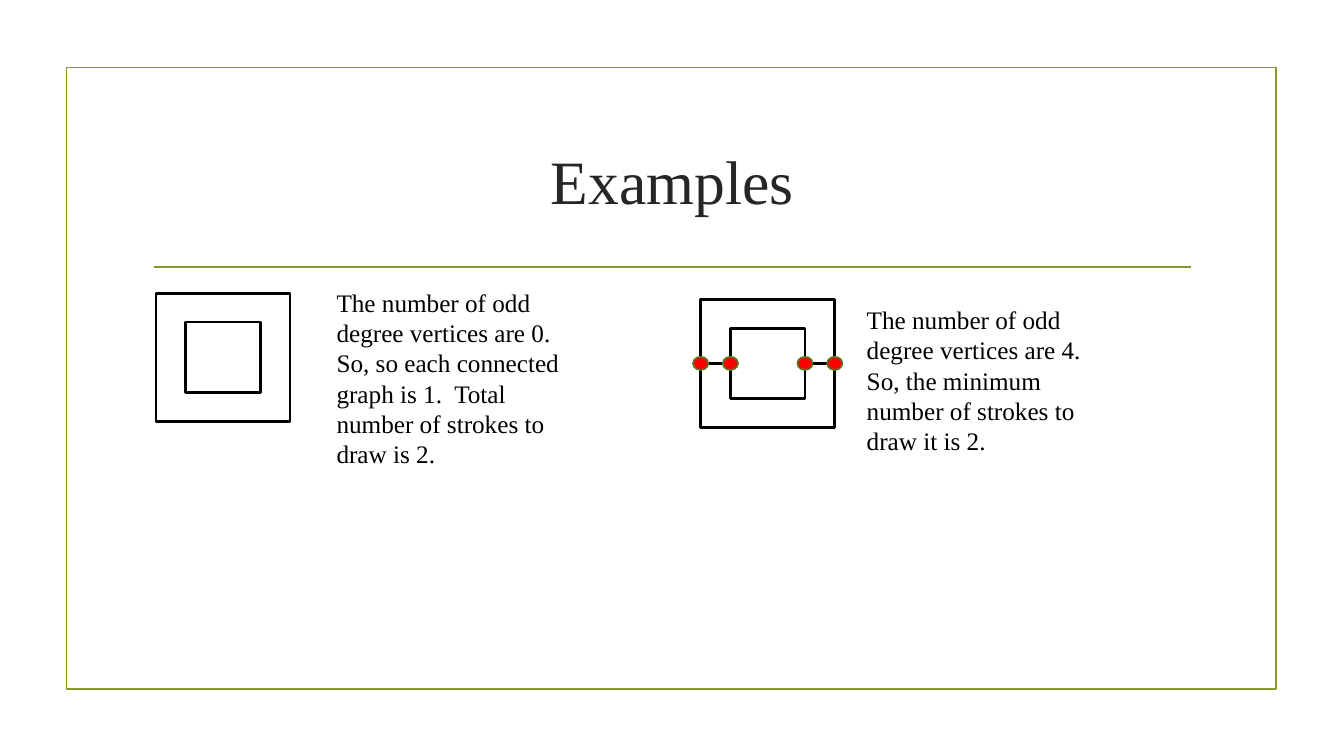
import pptx
import pptx.util
import pptx.dml.color
import pptx.enum.shapes
import pptx.enum.text
import pptx.oxml

GREEN, BLACK, RED = "83992A", "000000", "FF0000"
SHAPE = pptx.enum.shapes.MSO_SHAPE


def paint(text):
    return pptx.dml.color.RGBColor.from_string(text)


class Page:
    """Draws on one slide; all lengths are percent of its width or height."""

    font = "Times New Roman"

    def __init__(self, deck):
        self.wide, self.high = deck.slide_width, deck.slide_height
        self.slide = deck.slides.add_slide(deck.slide_layouts[5])

    def size(self, x, y):
        return round(self.wide * x / 100), round(self.high * y / 100)

    def box(self, x, y, w, h):
        return self.size(x, y) + self.size(w, h)

    def shape(self, kind, place, line, width, fill=None):
        item = self.slide.shapes.add_shape(kind, *self.box(*place))
        item.shadow.inherit = False
        item.line.color.rgb = paint(line)
        item.line.width = pptx.util.Pt(width)
        if fill:
            item.fill.solid()
            item.fill.fore_color.rgb = paint(fill)
        else:
            item.fill.background()

    def line(self, x, end, y, color, width):
        item = self.slide.shapes.add_connector(
            pptx.enum.shapes.MSO_CONNECTOR.STRAIGHT,
            *self.size(x, y), *self.size(end, y))
        item.line.color.rgb = paint(color)
        item.line.width = pptx.util.Pt(width)
        props = item.line._get_or_add_ln().getparent()
        props.append(pptx.oxml.parse_xml(
            '<a:effectLst xmlns:a='
            '"http://schemas.openxmlformats.org/drawingml/2006/main"/>'))

    def style(self, frame, points, color):
        frame.word_wrap = True
        for par in frame.paragraphs:
            for run in par.runs:
                run.font.name = self.font
                run.font.size = pptx.util.Pt(points)
                run.font.color.rgb = paint(color)

    def title(self, text, place):
        item = self.slide.shapes.title
        item.left, item.top, item.width, item.height = self.box(*place)
        frame = item.text_frame
        frame.text = text
        frame.auto_size = pptx.enum.text.MSO_AUTO_SIZE.NONE
        frame.vertical_anchor = pptx.enum.text.MSO_ANCHOR.MIDDLE
        frame.paragraphs[0].alignment = pptx.enum.text.PP_ALIGN.CENTER
        self.style(frame, 44, "262626")

    def text(self, text, place):
        frame = self.slide.shapes.add_textbox(*self.box(*place)).text_frame
        frame.text = text
        frame.auto_size = pptx.enum.text.MSO_AUTO_SIZE.SHAPE_TO_FIT_TEXT
        self.style(frame, 18, BLACK)

    def nest(self, x, y, linked=False):
        """Draw two nested boxes, optionally joined at their sides."""
        outer, inner = (9.98, 16.93), (5.55, 9.33)
        gap, drop = [(a - b) / 2 for a, b in zip(outer, inner)]
        self.shape(SHAPE.RECTANGLE, (x, y, *outer), BLACK, 2)
        self.shape(SHAPE.RECTANGLE, (x + gap, y + drop, *inner), BLACK, 2)
        if not linked:
            return
        mid = y + outer[1] / 2
        spots = [x, x + gap, x + gap + inner[0], x + outer[0]]
        for start, end in (spots[:2], spots[2:]):
            self.line(start, end, mid, BLACK, 2)
        w, h = 1.13, 1.73
        for spot in spots:
            self.shape(SHAPE.OVAL, (spot - w / 2, mid - h / 2, w, h),
                       "61711F", 1.25, RED)


def main():
    deck = pptx.Presentation()
    deck.slide_width = pptx.util.Inches(13.33)
    deck.slide_height = pptx.util.Inches(7.5)
    page = Page(deck)

    # Frame, title and rule
    page.shape(SHAPE.RECTANGLE, (4.95, 8.93, 90, 82.27), GREEN, 1.25)
    page.line(11.48, 88.6, 35.33, GREEN, 1.25)
    page.title("Examples", (10.65, 14.27, 78.75, 19.07))

    # Separate boxes
    page.nest(11.6, 38.8)
    page.text("The number of odd degree vertices are 0.  So, so each connected "
              "graph is 1.  Total number of strokes to draw is 2.",
              (24.3, 37.33, 18.68, 25.6))

    # Linked boxes with odd vertices
    page.nest(52.13, 39.6, linked=True)
    page.text("The number of odd degree vertices are 4.\n"
              "So, the minimum number of strokes to draw it is 2.",
              (63.75, 39.6, 18.68, 21.6))

    deck.save("out.pptx")


if __name__ == "__main__":
    main()
